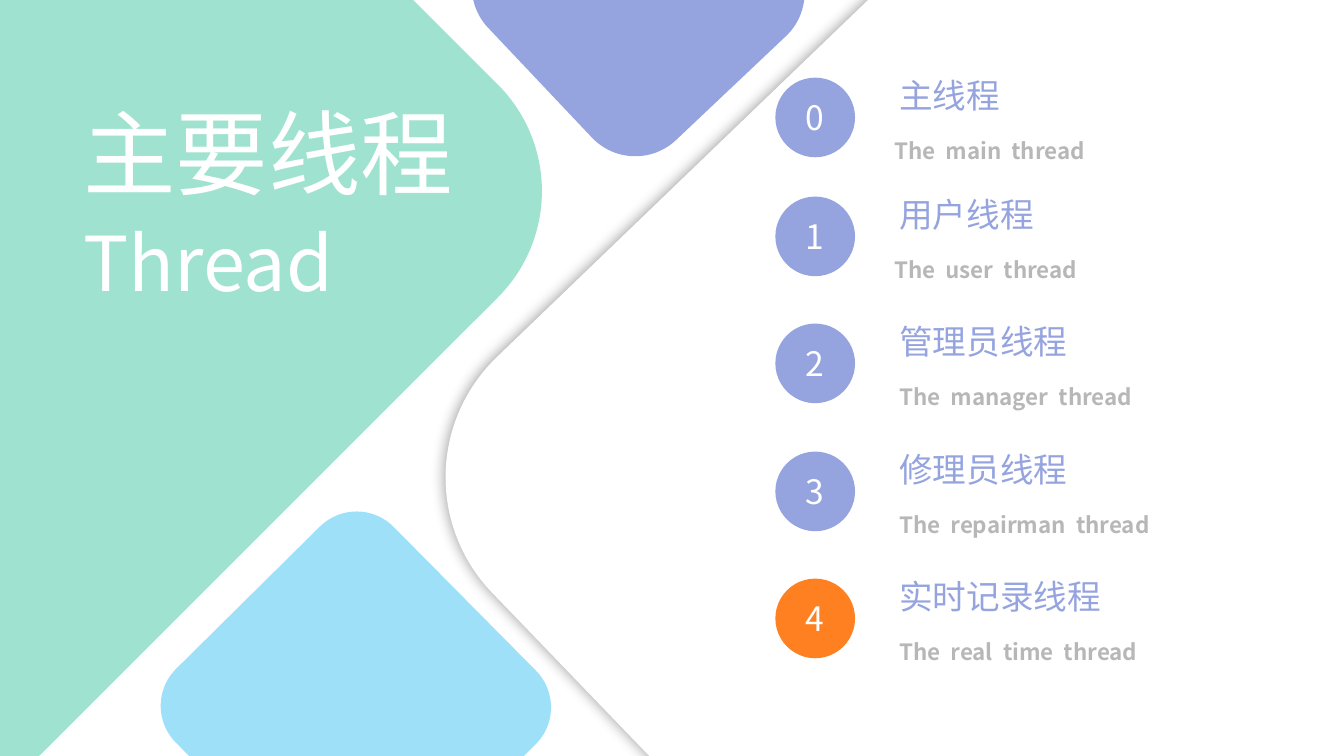
from lxml import etree
from pptx import Presentation
from pptx.dml.color import RGBColor
from pptx.enum.shapes import MSO_SHAPE
from pptx.enum.text import MSO_AUTO_SIZE, PP_ALIGN
from pptx.oxml.ns import qn
from pptx.util import Inches, Pt

PERIWINKLE, MINT, SKY, ORANGE = "95A4DE", "9EE2CF", "9EE0F8", "FF8021"
WHITE, GREY, BLACK = "FFFFFF", "A6A6A6", "000000"


def rgb(color):
    return RGBColor.from_string(color)


def add_alpha(color_element, percent):
    etree.SubElement(color_element, qn("a:alpha"), val=str(percent * 1000))


class ThreadSlide:
    """Holds the font and the current slide, and draws each kind of element."""

    font = "Noto Sans CJK JP"

    def __init__(self, slide):
        self.slide = slide

    def shape(self, kind, left, top, width, height, color):
        shape = self.slide.shapes.add_shape(
            kind, Inches(left), Inches(top), Inches(width), Inches(height))
        shape.fill.solid()
        shape.fill.fore_color.rgb = rgb(color)
        shape.line.fill.background()
        shape.shadow.inherit = False
        return shape

    def tile(self, left, top, width, height, color, rotation, corner):
        tile = self.shape(MSO_SHAPE.ROUNDED_RECTANGLE, left, top, width, height, color)
        tile.rotation = rotation
        tile.adjustments[0] = corner
        return tile

    def glow(self, shape, color, blur, opacity):
        effects = shape._element.spPr.find(qn("a:effectLst"))
        shadow = etree.SubElement(effects, qn("a:outerShdw"), blurRad=str(Pt(blur)),
                                  dist="0", dir="0", algn="ctr", rotWithShape="0")
        add_alpha(etree.SubElement(shadow, qn("a:srgbClr"), val=color), opacity)

    def run(self, paragraph, text, size, color, bold=False, opacity=100, spacing=0):
        run = paragraph.add_run()
        run.text = text
        run.font.size, run.font.bold, run.font.name = Pt(size), bold, self.font
        run.font.color.rgb = rgb(color)
        properties = run.font._element
        if opacity < 100:
            add_alpha(properties.find(".//" + qn("a:srgbClr")), opacity)
        if spacing:
            properties.set("spc", str(round(spacing * 100)))
        etree.SubElement(properties, qn("a:ea"), typeface=self.font)

    def paragraph(self, left, top, width, height, align=PP_ALIGN.LEFT):
        box = self.slide.shapes.add_textbox(
            Inches(left), Inches(top), Inches(width), Inches(height))
        box.text_frame.word_wrap = True
        box.text_frame.auto_size = MSO_AUTO_SIZE.SHAPE_TO_FIT_TEXT
        paragraph = box.text_frame.paragraphs[0]
        paragraph.alignment = align
        return paragraph

    def text(self, text, left, top, width, height, size, color, align=PP_ALIGN.LEFT):
        self.run(self.paragraph(left, top, width, height, align), text, size, color)

    def caption(self, text, left, top):
        paragraph = self.paragraph(left, top, 3.48, 0.37)
        for index, word in enumerate(text.split()):
            if index:
                self.run(paragraph, " ", 16, GREY, True, 80, spacing=3.6)
            self.run(paragraph, word, 16, GREY, True, 80)

    def thread(self, number, name, english, top, caption_left, color):
        self.caption(english, caption_left, top + 0.54)
        self.text(name, 8.82, top - 0.08, 3.48, 0.5, 24, PERIWINKLE)
        self.shape(MSO_SHAPE.OVAL, 7.69, top, 0.79, 0.79, color)
        self.text(str(number), 7.72, top + 0.14, 0.72, 0.5, 24, WHITE, PP_ALIGN.CENTER)


prs = Presentation()
prs.slide_width, prs.slide_height = Inches(13.33), Inches(7.5)
page = ThreadSlide(prs.slides.add_slide(prs.slide_layouts[6]))

panel = page.tile(6.19, -1.05, 11.79, 11.83, WHITE, 316.1, 0.14)
page.glow(panel, BLACK, 10, 40)
page.tile(4.99, -1.44, 2.68, 2.68, PERIWINKLE, 46.6, 0.22)
page.tile(-4.81, -2.58, 8.78, 9.36, MINT, 225, 0.17)
page.tile(2.01, 5.49, 3.04, 3.04, SKY, 315.3, 0.17)

page.text("主要线程", 0.73, 0.9, 4.3, 1.21, 66, WHITE)
page.text("Thread", 0.73, 2.09, 4.1, 1.01, 54, WHITE)

threads = [
    ("主线程", "The main thread", 0.77, 8.77, PERIWINKLE),
    ("用户线程", "The user thread", 1.95, 8.77, PERIWINKLE),
    ("管理员线程", "The manager thread", 3.21, 8.82, PERIWINKLE),
    ("修理员线程", "The repairman thread", 4.48, 8.82, PERIWINKLE),
    ("实时记录线程", "The real time thread", 5.74, 8.82, ORANGE),
]
for number, thread in enumerate(threads):
    page.thread(number, *thread)

prs.save("out.pptx")
